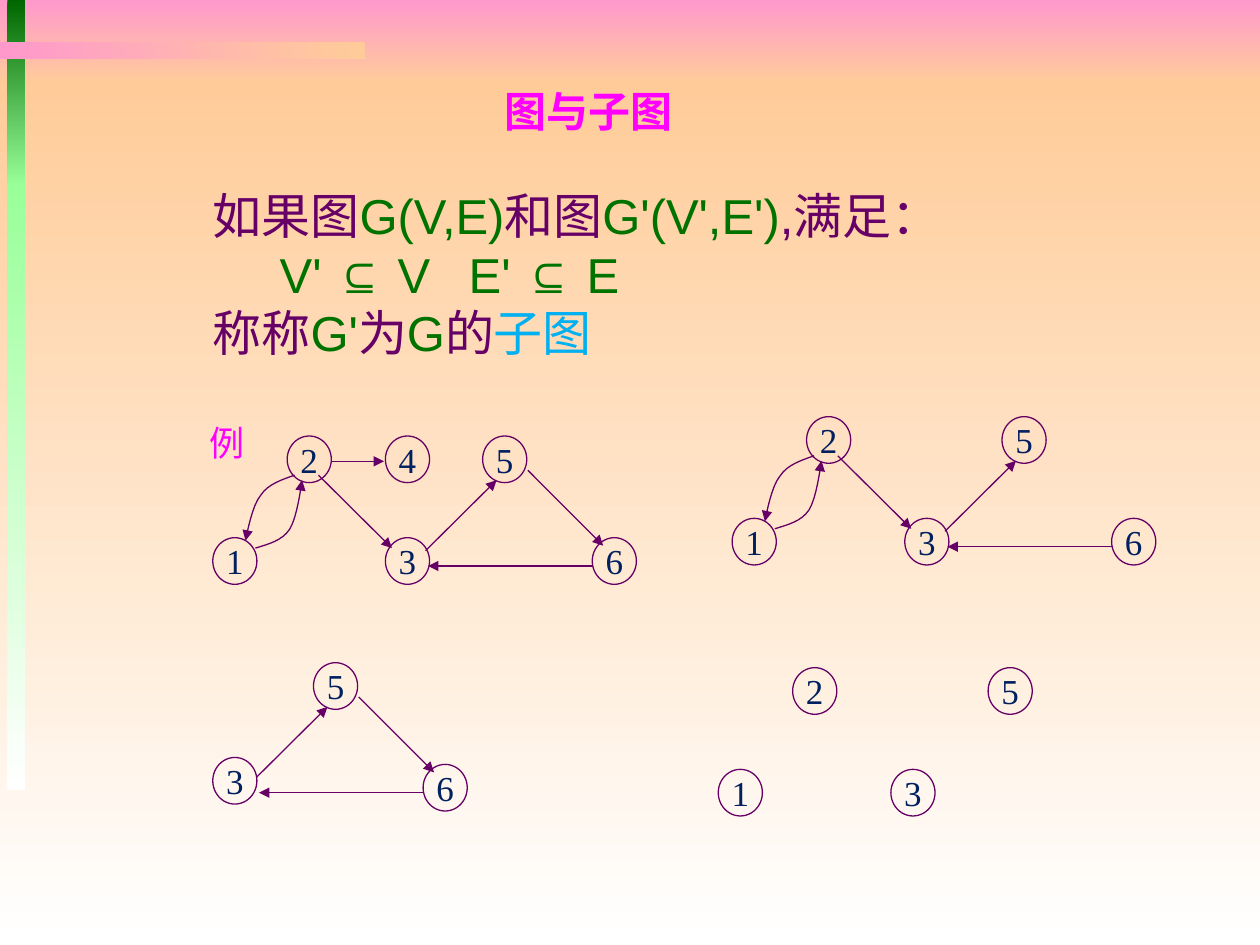
import pptx
import pptx.dml.color
import pptx.enum.shapes
import pptx.enum.text
import pptx.oxml.ns
import pptx.util
from lxml import etree

Cm = pptx.util.Cm
Pt = pptx.util.Pt
RGBColor = pptx.dml.color.RGBColor
SHAPE = pptx.enum.shapes.MSO_SHAPE
ANCHOR = pptx.enum.text.MSO_ANCHOR
ALIGN = pptx.enum.text.PP_ALIGN
qn = pptx.oxml.ns.qn

PINK = RGBColor(0xFF, 0x99, 0xCC)
PEACH = RGBColor(0xFF, 0xCC, 0x99)
WHITE = RGBColor(0xFF, 0xFF, 0xFF)
DARK_GREEN = RGBColor(0x00, 0x66, 0x00)
LIGHT_GREEN = RGBColor(0x99, 0xFF, 0x99)
PURPLE = RGBColor(0x66, 0x00, 0x66)
NAVY = RGBColor(0x00, 0x20, 0x60)
MAGENTA = RGBColor(0xFF, 0x00, 0xFF)
GREEN = RGBColor(0x00, 0x72, 0x00)
SKY = RGBColor(0x00, 0xB0, 0xF0)


def add_span(para, text, color, **format_values):
    span = para.add_run()
    span.text = text
    span.font.color.rgb = color
    for name, value in format_values.items():
        setattr(span.font, name, value)


def style_edge(edge):
    """Give an edge its thin purple line, arrowhead and no shadow."""
    edge.line.color.rgb = PURPLE
    edge.line.width = Pt(0.75)
    line = edge.line._get_or_add_ln()
    etree.SubElement(line, qn("a:tailEnd"), type="triangle")
    etree.SubElement(edge._element.spPr, qn("a:effectLst"))


deck = pptx.Presentation()
deck.slide_width, deck.slide_height = Cm(25.4), Cm(19.05)
slide = deck.slides.add_slide(deck.slide_layouts[6])
shapes = slide.shapes

# Background bands: left, top, width, height, first and last colour, angle
bands = [
    (0, 0, 25.4, 1.7, PINK, PEACH, 270),
    (0, 1.7, 25.4, 17.35, PEACH, WHITE, 270),
    (0.15, 0, 0.36, 3.75, DARK_GREEN, LIGHT_GREEN, 270),
    (0.15, 3.71, 0.36, 12.22, LIGHT_GREEN, WHITE, 270),
    (0, 0.84, 7.35, 0.36, PINK, PEACH, 0),
]
for *frame, first, last, angle in bands:
    band = shapes.add_shape(SHAPE.RECTANGLE, *map(Cm, frame))
    band.shadow.inherit = False
    band.line.fill.background()
    band.fill.gradient()
    band.fill.gradient_angle = angle
    for stop, color in zip(band.fill.gradient_stops, (first, last)):
        stop.color.rgb = color

# Title and example label
labels = [
    ("图与子图", (9.93, 1.6, 3.96, 1.3), ANCHOR.TOP, ALIGN.LEFT, {"size": Pt(24), "bold": True}),
    ("例", (3.96, 8.38, 1.22, 1.09), ANCHOR.MIDDLE, ALIGN.CENTER, {"size": Pt(20)}),
]
for text, frame, anchor, alignment, format_values in labels:
    box = shapes.add_textbox(*map(Cm, frame))
    box.text_frame.word_wrap = False
    box.text_frame.vertical_anchor = anchor
    para = box.text_frame.paragraphs[0]
    para.alignment = alignment
    add_span(para, text, MAGENTA, name="Times New Roman", **format_values)

# Definition: left indent of each line, then its spans
definition = [
    (0.05, [("如果图", PURPLE), ("G(V,E)", GREEN), ("和图", PURPLE),
            ("G'(V',E')", GREEN), (",满足：", PURPLE)]),
    (1.4, [("V' ⊆ V\tE' ⊆ E", GREEN)]),
    (0.05, [("称称", PURPLE), ("G'", GREEN), ("为", PURPLE), ("G", GREEN),
            ("的", PURPLE), ("子图", SKY)]),
]
box = shapes.add_textbox(Cm(3.99), Cm(3.61), Cm(17.81), Cm(3.84))
frame = box.text_frame
frame.word_wrap = True
for number, (indent, spans) in enumerate(definition):
    para = frame.add_paragraph() if number else frame.paragraphs[0]
    properties = para._p.get_or_add_pPr()
    properties.set("marL", str(Cm(indent)))
    properties.set("indent", "0")
    if any("\t" in text for text, color in spans):
        tabs = etree.SubElement(properties, qn("a:tabLst"))
        etree.SubElement(tabs, qn("a:tab"), pos=str(Cm(5.25)), algn="l")
    for text, color in spans:
        add_span(para, text, color, name="Arial", size=Pt(28))

# All graphs share one layout, in centimetres from the graph's origin
NODE_WIDTH, NODE_HEIGHT = 0.89, 0.94
CURVE_STEPS = 8
places = {"1": (0, 2.05), "2": (1.5, 0), "3": (3.48, 2.05),
          "4": (3.48, 0), "5": (5.44, 0), "6": (7.65, 2.05)}
arrows = {
    "24": [(2.39, 0.51), (3.45, 0.51)],
    "23": [(2.13, 0.79), (3.61, 2.26)],
    "63": [(7.67, 2.62), (4.34, 2.62)],
    "35": [(4.29, 2.31), (5.72, 0.89)],
    "56": [(6.35, 0.69), (7.87, 2.21)],
}
curves = {
    "21": [(1.65, 0.79), (1.37, 0.89), (1.12, 0.97), (0.97, 1.19),
           (0.79, 1.4), (0.69, 1.98), (0.66, 2.11)],
    "12": [(0.86, 2.26), (1.12, 2.18), (1.4, 2.11), (1.55, 1.88),
           (1.7, 1.65), (1.78, 1.02), (1.8, 0.89)],
}
# Origin, nodes, edges, nodes that leave the shared layout
graphs = [
    ((0.88, 13.36), "356", ["63", "35", "56"], {"3": (3.41, 1.91)}),
    ((4.29, 8.79), "245136", ["24", "23", "63", "35", "56", "21", "12"], {}),
    ((14.48, 13.46), "2513", [], {}),
    ((14.76, 8.4), "25136", ["23", "63", "35", "21", "12"], {}),
]
for (left, top), nodes, edges, moved in graphs:
    for name in nodes:
        x, y = moved.get(name, places[name])
        node = shapes.add_shape(SHAPE.OVAL, Cm(left + x), Cm(top + y),
                                Cm(NODE_WIDTH), Cm(NODE_HEIGHT))
        node.shadow.inherit = False
        node.fill.background()
        node.line.color.rgb = PURPLE
        node.line.width = Pt(0.75)
        frame = node.text_frame
        frame.word_wrap = False
        frame.vertical_anchor = ANCHOR.MIDDLE
        for side in ("left", "right", "top", "bottom"):
            setattr(frame, f"margin_{side}", 0)
        para = frame.paragraphs[0]
        para.alignment = ALIGN.CENTER
        add_span(para, name, NAVY, name="Times New Roman", size=Pt(20))

    for name in edges:
        points = [(Cm(left + x), Cm(top + y)) for x, y in (arrows | curves)[name]]
        if name in arrows:
            edge = shapes.add_connector(pptx.enum.shapes.MSO_CONNECTOR.STRAIGHT,
                                        *points[0], *points[1])
        else:
            outline = []
            for start in (0, 3):
                for step in range(1, CURVE_STEPS + 1):
                    t = step / CURVE_STEPS
                    weights = ((1 - t) ** 3, 3 * t * (1 - t) ** 2, 3 * t * t * (1 - t), t ** 3)
                    outline.append([sum(w * p[axis] for w, p in zip(weights, points[start:start + 4]))
                                    for axis in (0, 1)])
            builder = shapes.build_freeform(*points[0])
            builder.add_line_segments(outline, close=False)
            edge = builder.convert_to_shape()
            edge.fill.background()
        style_edge(edge)

deck.save("out.pptx")
